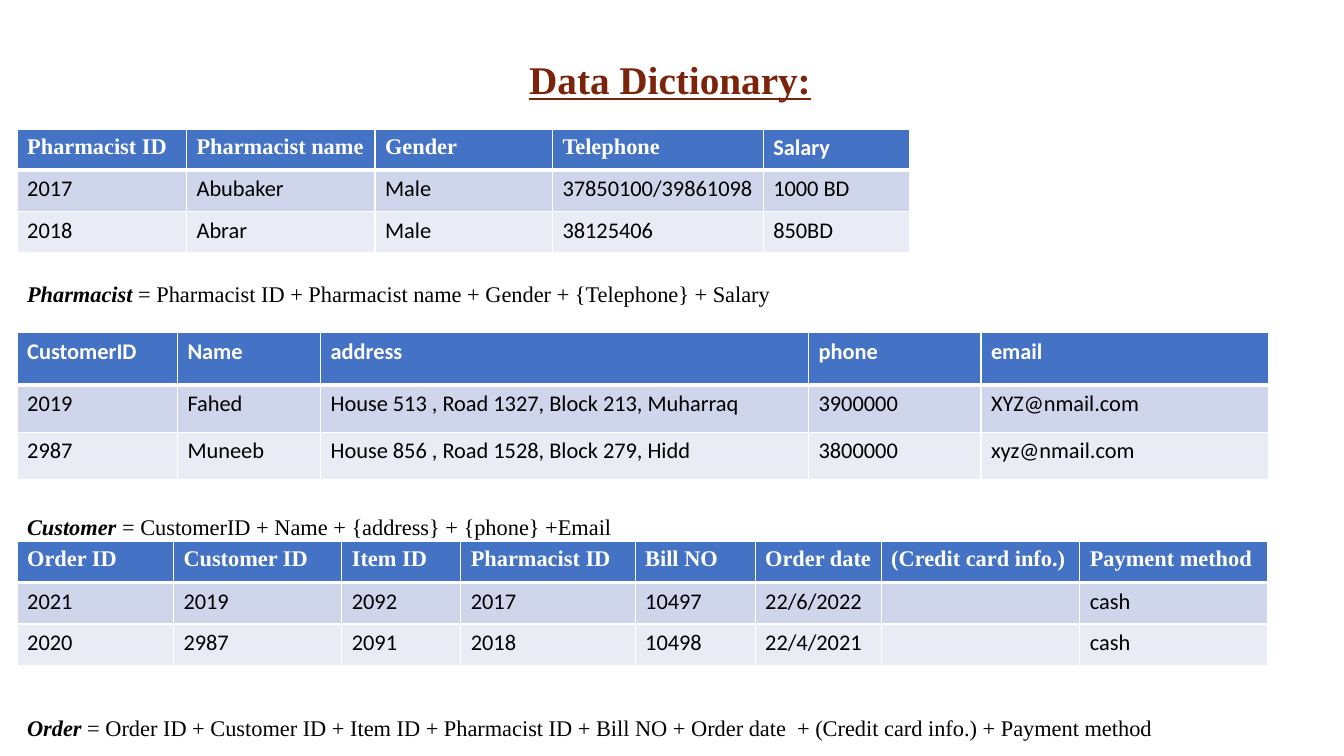
from lxml.etree import SubElement
from pptx import Presentation
from pptx.dml.color import RGBColor
from pptx.enum.text import MSO_ANCHOR, PP_ALIGN
from pptx.oxml.ns import qn
from pptx.util import Inches, Pt

COLORS = {"title": "7B230B", "header": "4472C4", "odd": "CFD5EA",
          "even": "E9EBF5", "white": "FFFFFF", "black": "000000"}
SERIF, SANS = "Times New Roman", "Calibri"
LEFT, TEXT_WIDTH, LINE_HEIGHT = 0.17, 12.95, 0.5

TITLE = "Data Dictionary:"
TITLE_CENTER = 0.78

# Each entity: table top, column widths, row heights, header fonts, rows,
# then the definition line (name, formula, vertical center).
ENTITIES = [
    {"top": 1.28, "columns": [1.68, 1.87, 1.76, 2.09, 1.45],
     "heights": [0.41] * 3, "header_fonts": [SERIF] * 4 + [SANS],
     "rows": [
         ["Pharmacist ID", "Pharmacist name", "Gender", "Telephone", "Salary"],
         ["2017", "Abubaker", "Male", "37850100/39861098", "1000 BD"],
         ["2018", "Abrar", "Male", "38125406", "850BD"]],
     "name": "Pharmacist", "center": 2.91,
     "formula": " = Pharmacist ID + Pharmacist name + Gender + {Telephone} + Salary"},
    {"top": 3.3, "columns": [1.59, 1.42, 4.84, 1.71, 2.85],
     "heights": [0.52, 0.47, 0.47], "header_fonts": [SANS] * 5,
     "rows": [
         ["CustomerID", "Name", "address", "phone", "email"],
         ["2019", "Fahed", "House 513\u00a0, Road 1327, Block 213, Muharraq",
          "3900000", "XYZ@nmail.com"],
         ["2987", "Muneeb", "House 856\u00a0, Road 1528, Block 279, Hidd",
          "3800000", "xyz@nmail.com"]],
     "name": "Customer", "center": 5.22,
     "formula": " = CustomerID + Name + {address} + {phone} +Email"},
    {"top": 5.37, "columns": [1.55, 1.67, 1.18, 1.73, 1.19, 1.25, 1.97, 1.86],
     "heights": [0.41] * 3, "header_fonts": [SERIF] * 8,
     "rows": [
         ["Order ID", "Customer ID", "Item ID", "Pharmacist ID", "Bill NO",
          "Order date", "(Credit card info.)", "Payment method"],
         ["2021", "2019", "2092", "2017", "10497", "22/6/2022", "", "cash"],
         ["2020", "2987", "2091", "2018", "10498", "22/4/2021", "", "cash"]],
     "name": "Order", "center": 7.22,
     "formula": " = Order ID + Customer ID + Item ID + Pharmacist ID + Bill NO"
                " + Order date  + (Credit card info.) + Payment method"},
]


def style_font(font, name, size, color, bold=None):
    """Set the typeface, size, colour and weight of a font."""
    font.name, font.size, font.bold = name, Pt(size), bold
    font.color.rgb = RGBColor.from_string(COLORS[color])


def add_line(slide, center):
    """Add a one-line text box centred on a height and return its paragraph."""
    box = slide.shapes.add_textbox(Inches(LEFT), Inches(center - LINE_HEIGHT / 2),
                                   Inches(TEXT_WIDTH), Inches(LINE_HEIGHT))
    frame = box.text_frame
    frame.word_wrap = True
    frame.vertical_anchor = MSO_ANCHOR.MIDDLE
    return frame.paragraphs[0]


def add_title(slide):
    """Add the underlined slide title."""
    paragraph = add_line(slide, TITLE_CENTER)
    paragraph.text = TITLE
    paragraph.alignment = PP_ALIGN.CENTER
    style_font(paragraph.font, SERIF, 28, "title", True)
    paragraph.font.underline = True


def add_definition(slide, entity):
    """Add the line that defines an entity by its fields."""
    paragraph = add_line(slide, entity["center"])
    style_font(paragraph.font, SERIF, 16, "black")
    name = paragraph.add_run()
    name.text = entity["name"]
    name.font.bold = name.font.italic = True
    paragraph.add_run().text = entity["formula"]


def set_borders(cell, row_index):
    """Draw white cell borders, thicker between header and body."""
    properties = cell._tc.get_or_add_tcPr()
    widths = {"lnL": 1, "lnR": 1, "lnT": 3 if row_index == 1 else 1,
              "lnB": 3 if row_index == 0 else 1}
    for side, width in widths.items():
        line = SubElement(properties, qn(f"a:{side}"), w=str(Pt(width)))
        fill = SubElement(line, qn("a:solidFill"))
        SubElement(fill, qn("a:srgbClr"), val=COLORS["white"])


def add_entity_table(slide, entity):
    """Add the sample-data table of an entity."""
    rows, columns, heights = entity["rows"], entity["columns"], entity["heights"]
    table = slide.shapes.add_table(
        len(rows), len(columns), Inches(LEFT), Inches(entity["top"]),
        Inches(sum(columns)), Inches(sum(heights))).table
    for column, width in zip(table.columns, columns):
        column.width = Inches(width)
    for row_index, (values, height) in enumerate(zip(rows, heights)):
        table.rows[row_index].height = Inches(height)
        fill = ("header", "odd", "even")[row_index]
        is_header = row_index == 0
        for column_index, value in enumerate(values):
            cell = table.cell(row_index, column_index)
            set_borders(cell, row_index)
            cell.fill.solid()
            cell.fill.fore_color.rgb = RGBColor.from_string(COLORS[fill])
            cell.text = value
            typeface = entity["header_fonts"][column_index] if is_header else SANS
            style_font(cell.text_frame.paragraphs[0].font, typeface, 16,
                       "white" if is_header else "black", is_header)


presentation = Presentation()
presentation.slide_width, presentation.slide_height = Inches(13.33), Inches(7.5)
slide = presentation.slides.add_slide(presentation.slide_layouts[6])
add_title(slide)
for entity in ENTITIES:
    add_entity_table(slide, entity)
    add_definition(slide, entity)
presentation.save("out.pptx")
